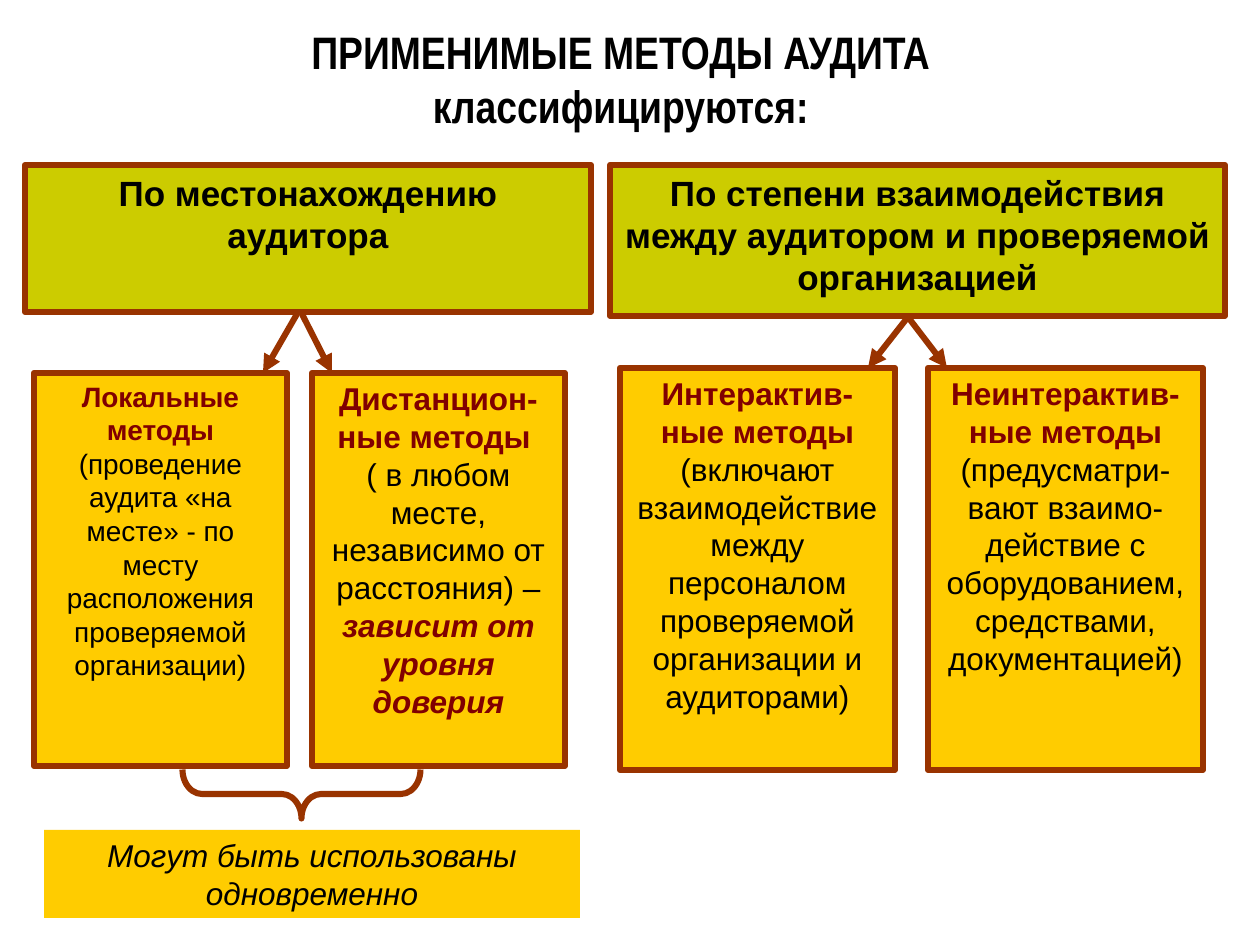
"""Builds a slide that classifies applicable audit methods."""
from pptx import Presentation
from pptx import util as u
from pptx.dml.color import RGBColor
from pptx.enum import shapes, text
from pptx.oxml import parse_xml
from pptx.oxml.ns import nsdecls, qn

PX = 914400 // 126
BLACK = RGBColor(0x00, 0x00, 0x00)
MAROON = RGBColor(0x80, 0x00, 0x00)
BROWN = RGBColor(0x99, 0x33, 0x00)
OLIVE = RGBColor(0xCC, 0xCC, 0x00)
AMBER = RGBColor(0xFF, 0xCC, 0x00)
BORDER = u.Pt(3.5)

PLAIN = (BLACK, False, False)
BOLD = (BLACK, True, False)
ITALIC = (BLACK, False, True)
TERM = (MAROON, True, False)
STRESS = (MAROON, True, True)

TITLE = ["ПРИМЕНИМЫЕ МЕТОДЫ АУДИТА", "классифицируются:"]
TITLE_BOX = (54, 0, 1134, 157)

BRANCHES = [
    {
        "heading": "По местонахождению аудитора",
        "heading_box": (25, 165, 566, 147),
        "arrows": [(297, 314, 263, 373), (302, 314, 332, 373)],
        "methods_box": (34, 373, 253, 393),
        "step": 278,
        "methods": [
            (16, [[("Локальные методы", TERM),
                   (" (проведение аудита «на месте» - по месту "
                    "расположения проверяемой организации)", PLAIN)]]),
            (18, [[("Дистанцион-ные методы ", TERM)],
                  [("( в любом месте, независимо от расстояния) – ", PLAIN),
                   ("зависит от уровня доверия", STRESS)]]),
        ],
    },
    {
        "heading": "По степени взаимодействия между аудитором "
                   "и проверяемой организацией",
        "heading_box": (610, 165, 615, 151),
        "arrows": [(908, 317, 868, 368), (908, 317, 947, 368)],
        "methods_box": (620, 368, 275, 402),
        "step": 308,
        "methods": [
            (18, [[("Интерактив-ные методы", TERM)],
                  [("(включают взаимодействие между персоналом "
                    "проверяемой организации и аудиторами)", PLAIN)]]),
            (18, [[("Неинтерактив-ные методы", TERM)],
                  [("(предусматри-вают взаимо-действие с оборудованием, "
                    "средствами, документацией)", PLAIN)]]),
        ],
    },
]

BRACE_BOX = (277, 675, 49, 238)
NOTE = "Могут быть использованы одновременно"
NOTE_BOX = (44, 830, 536, 88)


def emu(lengths):
    return [u.Emu(length * PX) for length in lengths]


def add_run(paragraph, words, style, size, face="Arial"):
    run = paragraph.add_run()
    run.text = words
    run.font.name, run.font.size = face, u.Pt(size)
    run.font.color.rgb, run.font.bold, run.font.italic = style


def add_box(slide, box, fill, size, paragraphs, outlined=True):
    panel = slide.shapes.add_shape(shapes.MSO_SHAPE.RECTANGLE, *emu(box))
    panel.shadow.inherit = False
    panel.fill.solid()
    panel.fill.fore_color.rgb = fill
    if outlined:
        panel.line.color.rgb = BROWN
        panel.line.width = BORDER
    else:
        panel.line.fill.background()
    frame = panel.text_frame
    frame.word_wrap = True
    frame.vertical_anchor = text.MSO_ANCHOR.TOP
    for index, runs in enumerate(paragraphs):
        paragraph = frame.add_paragraph() if index else frame.paragraphs[0]
        paragraph.alignment = text.PP_ALIGN.CENTER
        for words, style in runs:
            add_run(paragraph, words, style, size)


def add_arrow(slide, ends):
    arrow = slide.shapes.add_connector(shapes.MSO_CONNECTOR.STRAIGHT, *emu(ends))
    arrow.line.color.rgb = BROWN
    arrow.line.width = BORDER
    properties = arrow._element.spPr
    properties.find(qn("a:ln")).append(
        parse_xml(f'<a:tailEnd {nsdecls("a")} type="triangle"/>'))
    properties.append(parse_xml(f'<a:effectLst {nsdecls("a")}/>'))


def add_title(slide):
    title = slide.shapes.title
    title.left, title.top, title.width, title.height = emu(TITLE_BOX)
    frame = title.text_frame
    frame.auto_size = text.MSO_AUTO_SIZE.NONE
    frame.vertical_anchor = text.MSO_ANCHOR.MIDDLE
    paragraph = frame.paragraphs[0]
    paragraph.alignment = text.PP_ALIGN.CENTER
    for index, words in enumerate(TITLE):
        if index:
            paragraph.add_line_break()
        add_run(paragraph, words, BOLD, 26, "Arial Narrow")


def add_branch(slide, branch):
    add_box(slide, branch["heading_box"], OLIVE, 20, [[(branch["heading"], BOLD)]])
    for ends in branch["arrows"]:
        add_arrow(slide, ends)
    left, top, width, height = branch["methods_box"]
    for index, (size, paragraphs) in enumerate(branch["methods"]):
        box = (left + index * branch["step"], top, width, height)
        add_box(slide, box, AMBER, size, paragraphs)


def add_brace(slide):
    brace = slide.shapes.add_shape(shapes.MSO_SHAPE.LEFT_BRACE, *emu(BRACE_BOX))
    brace.shadow.inherit = False
    brace.rotation = 270
    brace.adjustments[0] = 0.4
    brace.fill.background()
    brace.line.color.rgb = BROWN
    brace.line.width = BORDER


def main():
    deck = Presentation()
    deck.slide_width, deck.slide_height = u.Inches(10), u.Inches(7.5)
    slide = deck.slides.add_slide(deck.slide_layouts[5])
    add_title(slide)
    for branch in BRANCHES:
        add_branch(slide, branch)
    add_box(slide, NOTE_BOX, AMBER, 18, [[(NOTE, ITALIC)]], outlined=False)
    add_brace(slide)
    deck.save("out.pptx")


if __name__ == "__main__":
    main()
